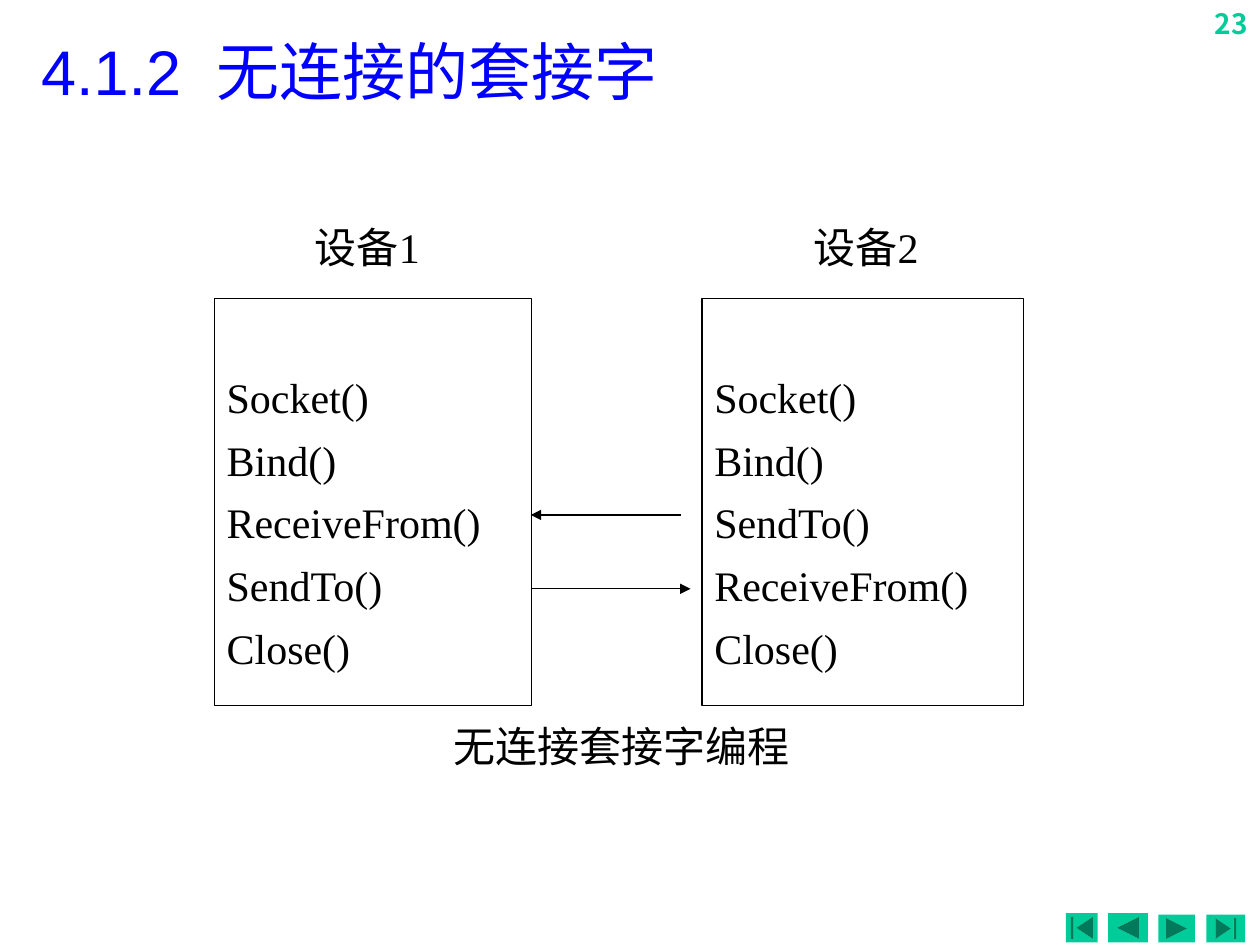
from dataclasses import dataclass

from lxml.etree import SubElement
from pptx import Presentation
from pptx.dml.color import RGBColor
from pptx.enum.shapes import MSO_CONNECTOR, MSO_SHAPE
from pptx.enum.text import MSO_ANCHOR, PP_ALIGN
from pptx.oxml.ns import qn
from pptx.util import Cm, Pt

BLACK = RGBColor(0x00, 0x00, 0x00)
WHITE = RGBColor(0xFF, 0xFF, 0xFF)
BLUE = RGBColor(0x00, 0x00, 0xFF)
GREEN = RGBColor(0x00, 0xCC, 0x99)

SERIF = "Times New Roman"
LABEL_TOP = 4.47
BOX_TOP, BOX_HEIGHT = 6.02, 8.2
SIDE_MARGIN, TOP_MARGIN = 0.25, 0.13


@dataclass(frozen=True)
class Device:
    name: str
    left: float
    width: float
    label_left: float
    label_width: float
    calls: tuple[str, ...]


@dataclass(frozen=True)
class Arrow:
    start: float
    end: float
    y: float


@dataclass(frozen=True)
class Button:
    kind: MSO_SHAPE
    left: float
    top: float
    width: float
    height: float


DEVICES = (
    Device("设备1", 4.32, 6.4, 4.6, 5.61,
           ("Socket()", "Bind()", "ReceiveFrom()", "SendTo()", "Close()")),
    Device("设备2", 14.15, 6.48, 14.6, 5.72,
           ("Socket()", "Bind()", "SendTo()", "ReceiveFrom()", "Close()")),
)
ARROWS = (Arrow(13.72, 10.7, 10.38), Arrow(10.7, 13.92, 11.87))
BUTTONS = (
    Button(MSO_SHAPE.ACTION_BUTTON_BEGINNING, 21.49, 18.41, 0.64, 0.59),
    Button(MSO_SHAPE.ACTION_BUTTON_BACK_OR_PREVIOUS, 22.34, 18.41, 0.8, 0.59),
    Button(MSO_SHAPE.ACTION_BUTTON_FORWARD_OR_NEXT, 23.35, 18.44, 0.74, 0.56),
    Button(MSO_SHAPE.ACTION_BUTTON_END, 24.32, 18.44, 0.78, 0.56),
)


def write_text(shape, lines, *, size=24, font=SERIF, color=BLACK, bold=False,
               align=PP_ALIGN.LEFT, anchor=MSO_ANCHOR.TOP, gap=0,
               side_margin=0.0, top_margin=0.0) -> None:
    """Fill a shape with one paragraph per line; margins are in centimetres."""
    frame = shape.text_frame
    frame.word_wrap = True
    frame.vertical_anchor = anchor
    frame.margin_left = frame.margin_right = Cm(side_margin)
    frame.margin_top = Cm(top_margin)
    frame.margin_bottom = Cm(min(top_margin, TOP_MARGIN))
    for index, line in enumerate(lines):
        para = frame.paragraphs[0] if index == 0 else frame.add_paragraph()
        para.alignment = align
        para.space_after = Pt(gap)
        span = para.add_run()
        span.text = line
        span.font.size = Pt(size)
        span.font.name = font
        span.font.bold = bold
        span.font.color.rgb = color


def add_text(page, left: float, top: float, width: float, height: float,
             text: str, **style) -> None:
    box = page.shapes.add_textbox(Cm(left), Cm(top), Cm(width), Cm(height))
    write_text(box, [text], **style)


def add_device(page, device: Device) -> None:
    box = page.shapes.add_shape(MSO_SHAPE.RECTANGLE, Cm(device.left), Cm(BOX_TOP),
                                Cm(device.width), Cm(BOX_HEIGHT))
    box.shadow.inherit = False
    box.fill.solid()
    box.fill.fore_color.rgb = WHITE
    box.line.color.rgb = BLACK
    box.line.width = Pt(0.75)
    write_text(box, device.calls, gap=7, side_margin=SIDE_MARGIN, top_margin=1.47)
    add_text(page, device.label_left, LABEL_TOP, device.label_width, 1.55,
             device.name, align=PP_ALIGN.CENTER)


def add_arrow(page, arrow: Arrow) -> None:
    connector = page.shapes.add_connector(MSO_CONNECTOR.STRAIGHT, Cm(arrow.start),
                                          Cm(arrow.y), Cm(arrow.end), Cm(arrow.y))
    connector.line.color.rgb = BLACK
    connector.line.width = Pt(0.75)
    properties = connector._element.spPr
    SubElement(properties.find(qn("a:ln")), qn("a:tailEnd"), type="triangle")
    SubElement(properties, qn("a:effectLst"))


def add_button(page, button: Button) -> None:
    shape = page.shapes.add_shape(button.kind, Cm(button.left), Cm(button.top),
                                  Cm(button.width), Cm(button.height))
    shape.shadow.inherit = False
    shape.fill.solid()
    shape.fill.fore_color.rgb = GREEN
    shape.line.fill.background()


def main() -> None:
    deck = Presentation()
    deck.slide_width, deck.slide_height = Cm(25.4), Cm(19.05)
    page = deck.slides.add_slide(deck.slide_layouts[6])

    add_text(page, 24, 0, 1.4, 1.02, "23", size=16, font="Noto Sans CJK KR",
             color=GREEN, bold=True, align=PP_ALIGN.RIGHT,
             side_margin=SIDE_MARGIN, top_margin=TOP_MARGIN)
    for button in BUTTONS:
        add_button(page, button)
    add_text(page, 0.58, 0.48, 24.18, 1.88, "4.1.2  无连接的套接字", size=36,
             font="Arial", color=BLUE, anchor=MSO_ANCHOR.MIDDLE,
             side_margin=SIDE_MARGIN, top_margin=TOP_MARGIN)
    for device in DEVICES:
        add_device(page, device)
    for arrow in ARROWS:
        add_arrow(page, arrow)
    add_text(page, 4.72, 14.53, 15.62, 1.55, "无连接套接字编程",
             align=PP_ALIGN.CENTER)
    deck.save("out.pptx")


if __name__ == "__main__":
    main()
